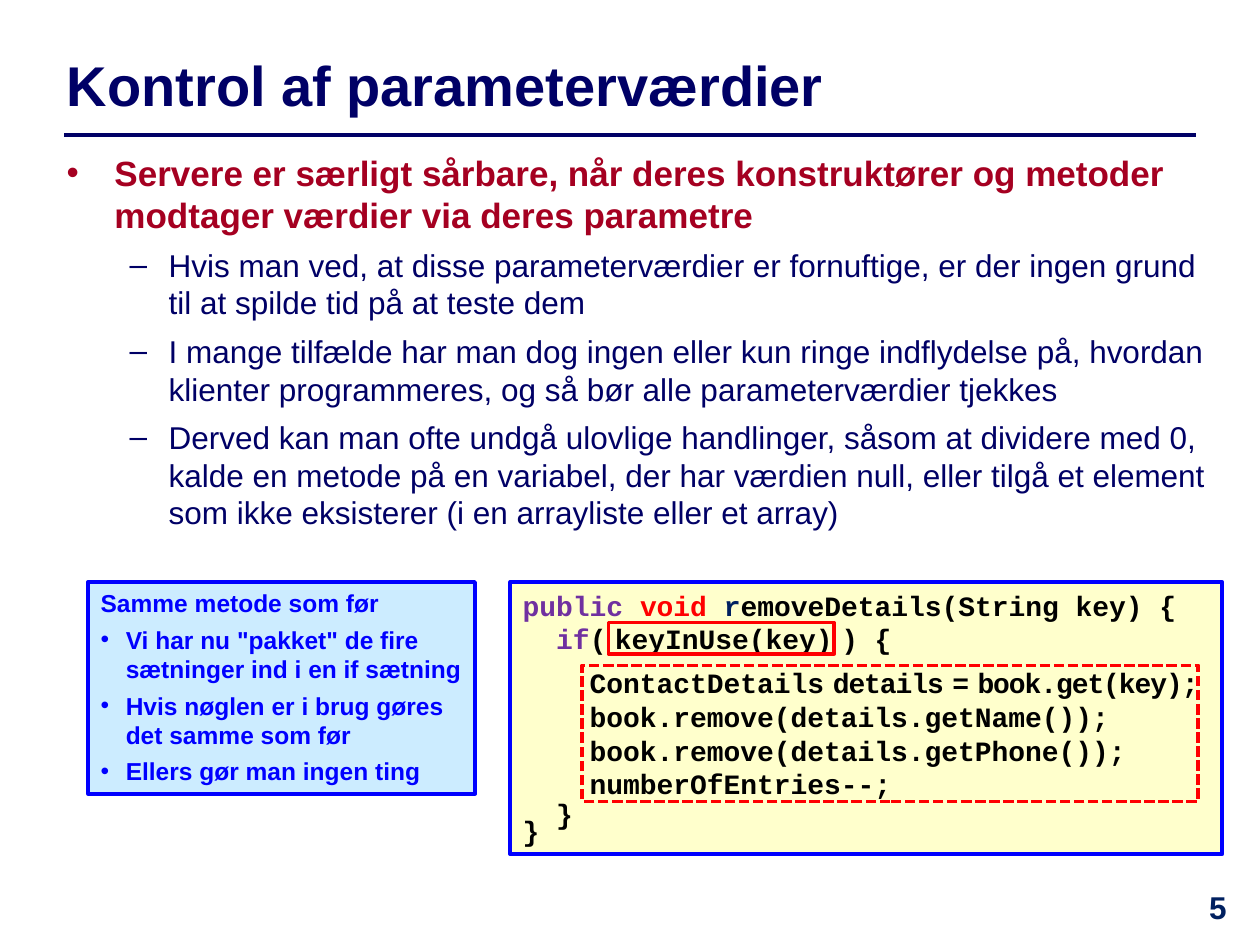
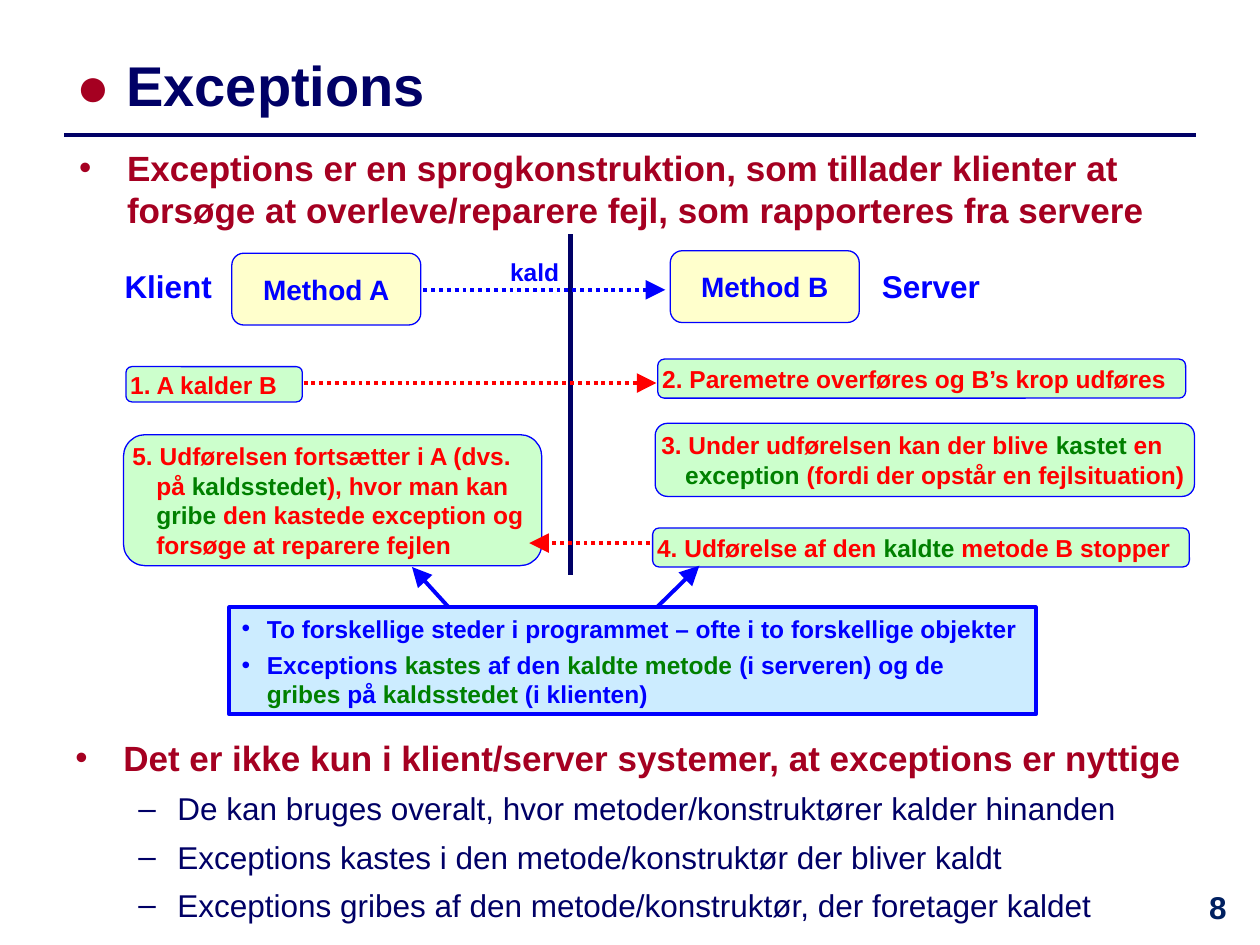
from itertools import cycle

from lxml.etree import SubElement
from pptx import Presentation
from pptx.dml.color import RGBColor
from pptx.enum.dml import MSO_LINE as Dash
from pptx.enum.shapes import MSO_CONNECTOR as Conn, MSO_SHAPE as Kind
from pptx.enum.text import MSO_ANCHOR as Anchor, PP_ALIGN as Align
from pptx.oxml.ns import qn
from pptx.util import Pt

PX = 9144  # 100 px to the inch

HEX = {
    "navy": "000066", "ink": "002060", "crimson": "A50021", "blue": "0000FF",
    "red": "FF0000", "green": "008000", "purple": "7030A0", "black": "000000",
    "cream": "FFFFCC", "sky": "CCECFF", "mint": "CCFFCC",
}
RGB = {name: RGBColor.from_string(code) for name, code in HEX.items()}

# name: size, bold, colour, left, hang, space before, bullet, font
STYLES = {
    "title": (32, True, "navy", 0, 0, 0, None, "Arial"),
    "page": (18, True, "ink", 0, 0, 0, None, "Arial"),
    "main": (20, True, "crimson", 38, 38, 12, "•", "Arial"),
    "sub": (18, False, "navy", 81, 31, 6, "–", "Arial"),
    "head": (14, True, "blue", 0, 0, 0, None, "Arial"),
    "note": (14, True, "blue", 20, 20, 4, "•", "Arial"),
    "side": (18, True, "blue", 0, 0, 0, None, "Arial"),
    "node": (16, True, "blue", 0, 0, 0, None, "Arial"),
    "step": (14, True, "red", 19, 19, 0, None, "Arial"),
    "code": (16, True, "black", 0, 0, 0, None, "Courier New"),
    "block": (16, True, "black", 0, 0, 6, None, "Courier New"),
}


def write(shape, items, align=Align.LEFT, anchor=Anchor.TOP):
    """Fill a shape with (style, text) items; text between bars is accented."""
    frame = shape.text_frame
    frame.word_wrap = True
    frame.vertical_anchor = anchor
    for i, (style, text) in enumerate(items):
        size, bold, color, left, hang, gap, mark, face = STYLES[style]
        para = frame.add_paragraph() if i else frame.paragraphs[0]
        para.alignment = align
        para.space_before = Pt(gap if i else 0)
        props = para._p.get_or_add_pPr()
        props.set("marL", str(left * PX))
        props.set("indent", str(-hang * PX))
        if mark:
            SubElement(props, qn("a:buFont")).set("typeface", face)
            SubElement(props, qn("a:buChar")).set("char", mark)
        font = para.font
        font.size, font.bold, font.name = Pt(size), bold, face
        font.color.rgb = RGB[color]
        if isinstance(text, str):
            accent = "crimson" if style == "title" else "green"
            text = zip(text.split("|"), cycle((color, accent)))
        for part, tint, *small in text:
            if part:
                run = para.add_run()
                run.text = part
                if tint != color:
                    run.font.color.rgb = RGB[tint]
                if small:
                    run.font.size = Pt(small[0])


def draw(slide, kind, box, fill, line, width, dash=None):
    """Add a preset shape with its fill and outline."""
    shape = slide.shapes.add_shape(kind, *[n * PX for n in box])
    shape.shadow.inherit = False
    if fill:
        shape.fill.solid()
        shape.fill.fore_color.rgb = RGB[fill]
    else:
        shape.fill.background()
    shape.line.color.rgb = RGB[line]
    shape.line.width = Pt(width)
    if dash:
        shape.line.dash_style = dash
    return shape


deck = Presentation()
deck.slide_width, deck.slide_height = 1000 * PX, 750 * PX
first, second = [deck.slides.add_slide(deck.slide_layouts[5]) for _ in range(2)]

# Titles
for slide, left, width, text in [
    (first, 43, 949, "Kontrol af parameterværdier"),
    (second, 51, 937, "|● |Exceptions"),
]:
    title = slide.shapes.title
    title.left, title.top, title.width, title.height = (
        n * PX for n in (left, 29, width, 75))
    write(title, [("title", text)], anchor=Anchor.MIDDLE)

# Rounded boxes: centred nodes and numbered steps
for box, text in [((184, 201, 150, 57), "Method A"), ((532, 199, 150, 57), "Method B")]:
    node = draw(second, Kind.ROUNDED_RECTANGLE, box, "cream", "blue", 0.75)
    write(node, [("node", text)], Align.CENTER, Anchor.MIDDLE)

for box, text in [
    ((100, 291, 140, 28), "1. A kalder B"),
    ((522, 285, 419, 31), "2. Paremetre overføres og B’s krop udføres"),
    ((520, 336, 428, 58), "3. Under udførelsen kan der blive |kastet| en |exception"
                          "| (fordi der opstår en fejlsituation)"),
    ((518, 419, 426, 31), "4. Udførelse af den |kaldte| metode B stopper"),
    ((98, 345, 332, 104), "5. Udførelsen fortsætter i A (dvs. på |kaldsstedet|), hvor man kan "
                          "|gribe| den kastede exception og forsøge at reparere fejlen"),
]:
    step = draw(second, Kind.ROUNDED_RECTANGLE, box, "mint", "blue", 0.75)
    frame = step.text_frame
    frame.margin_left = 2 * PX
    frame.margin_right = frame.margin_top = frame.margin_bottom = 0
    write(step, [("step", text)], anchor=Anchor.MIDDLE)

# Rules and arrows
dot = Dash.ROUND_DOT
for slide, ends, color, width, dash, head in [
    (first, (51, 107, 949, 107), "navy", 2, None, None),
    (second, (51, 107, 949, 107), "navy", 2, None, None),
    (second, (453, 186, 453, 456), "navy", 3, None, None),
    (second, (507, 496, 555, 449), "blue", 2.25, None, "lg"),
    (second, (368, 495, 327, 450), "blue", 2.25, None, "lg"),
    (second, (336, 230, 528, 230), "blue", 2.25, dot, "lg"),
    (second, (241, 304, 521, 304), "red", 2.25, dot, "lg"),
    (second, (516, 431, 420, 431), "red", 2.25, dot, "lg"),
]:
    link = slide.shapes.add_connector(Conn.STRAIGHT, *[n * PX for n in ends])
    link.line.color.rgb = RGB[color]
    link.line.width = Pt(width)
    if dash:
        link.line.dash_style = dash
    if head:
        SubElement(link.line._get_or_add_ln(), qn("a:tailEnd"),
                   type="triangle", w=head, len=head)
    SubElement(link._element.spPr, qn("a:effectLst"))

# Plain text: page numbers, bullets, labels
for slide, box, align, items in [
    (first, (933, 700, 67, 50), Align.CENTER, [("page", "5")]),
    (second, (933, 700, 67, 50), Align.CENTER, [("page", "8")]),
    (first, (43, 115, 929, 315), Align.LEFT, [
        ("main", "Servere er særligt sårbare, når deres konstruktører og metoder "
                 "modtager værdier via deres parametre"),
        ("sub", "Hvis man ved, at disse parameterværdier er fornuftige, er der ingen "
                "grund til at spilde tid på at teste dem"),
        ("sub", "I mange tilfælde har man dog ingen eller kun ringe indflydelse på, "
                "hvordan klienter programmeres, og så bør alle parameterværdier tjekkes"),
        ("sub", "Derved kan man ofte undgå ulovlige handlinger, såsom at dividere med 0, "
                "kalde en metode på en variabel, der har værdien null, eller tilgå et "
                "element som ikke eksisterer (i en arrayliste eller et array)"),
    ]),
    (second, (53, 111, 919, 77), Align.LEFT, [
        ("main", "Exceptions er en sprogkonstruktion, som tillader klienter at forsøge "
                 "at overleve/reparere fejl, som rapporteres fra servere"),
    ]),
    (second, (50, 580, 919, 173), Align.LEFT, [
        ("main", "Det er ikke kun i klient/server systemer, at exceptions er nyttige"),
        ("sub", "De kan bruges overalt, hvor metoder/konstruktører kalder hinanden"),
        ("sub", "Exceptions kastes i den metode/konstruktør der bliver kaldt"),
        ("sub", "Exceptions gribes af den metode/konstruktør, der foretager kaldet"),
    ]),
    (second, (89, 207, 93, 40), Align.LEFT, [("side", "Klient")]),
    (second, (690, 207, 101, 40), Align.LEFT, [("side", "Server")]),
    (second, (395, 199, 63, 34), Align.LEFT, [("head", "kald")]),
]:
    write(slide.shapes.add_textbox(*[n * PX for n in box]), items, align)

# Blue notes
for slide, box, items in [
    (first, (70, 462, 307, 168), [
        ("head", "Samme metode som før"),
        ("note", 'Vi har nu "pakket" de fire sætninger ind i en if sætning'),
        ("note", "Hvis nøglen er i brug gøres det samme som før"),
        ("note", "Ellers gør man ingen ting"),
    ]),
    (second, (182, 482, 640, 85), [
        ("note", "To forskellige steder i programmet – ofte i to forskellige objekter"),
        ("note", "Exceptions |kastes| af den |kaldte metode |(i serveren) og de "
                 "|gribes |på |kaldsstedet| (i klienten)"),
    ]),
]:
    write(draw(slide, Kind.RECTANGLE, box, "sky", "blue", 2.25), items)

# Code with its two red frames
thin = (" ", "black", 8)
code = draw(first, Kind.RECTANGLE, (405, 462, 565, 216), "cream", "blue", 2.25)
write(code, [
    ("code", [("public ", "purple"), ("void ", "red"), ("r", "ink"),
              ("emoveDetails(String key) {", "black")]),
    ("code", [("  ", "black"), ("if", "purple"), ("(", "black"), thin,
              ("keyInUse(key)", "black"), thin, (") {", "black")]),
    ("block", [("    ContactDetails", "black"), thin, ("details", "black"), thin,
               ("=", "black"), thin, ("book.get(key);", "black")]),
    ("code", "    book.remove(details.getName());"),
    ("code", "    book.remove(details.getPhone());"),
    ("code", "    numberOfEntries--;"),
    ("block", "  }"),
    ("code", "}"),
])
lines = code.text_frame.paragraphs
for run in lines[2].runs[1:]:
    run._r.get_or_add_rPr().set("spc", "-60")
for line in lines[-2:]:
    line.line_spacing = 0.5
draw(first, Kind.RECTANGLE, (483, 494, 179, 25), None, "red", 2)
draw(first, Kind.RECTANGLE, (462, 528, 489, 108), None, "red", 2, Dash.SQUARE_DOT)

deck.save("out.pptx")
